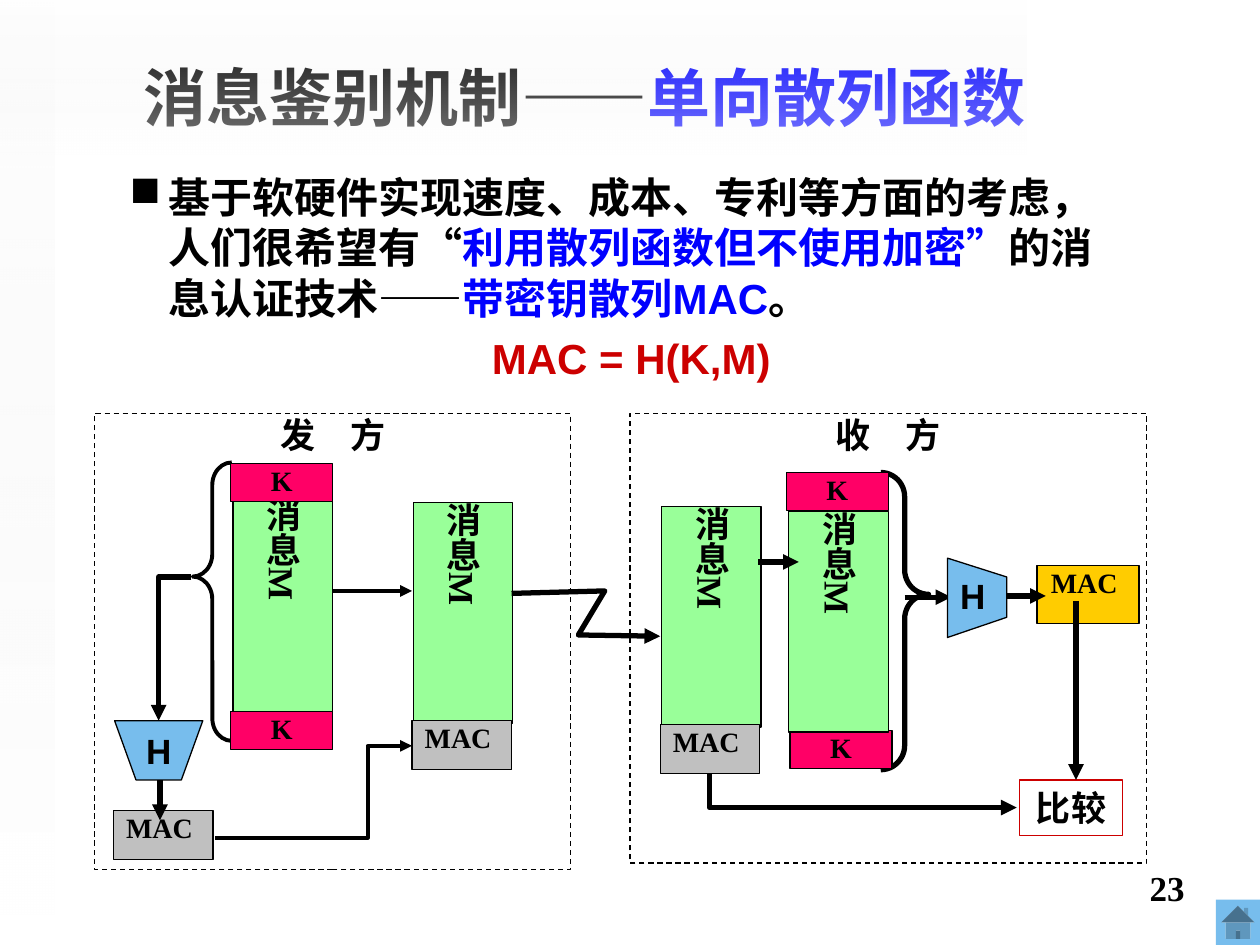
from lxml import etree
from pptx import Presentation
from pptx import util as u
from pptx.dml import color
from pptx.enum import dml, shapes, text
from pptx.oxml import ns, parse_xml


class Theme:
    black = color.RGBColor.from_string("000000")
    white = color.RGBColor.from_string("FFFFFF")
    blue = color.RGBColor.from_string("0000FF")
    red = color.RGBColor.from_string("CC0000")
    green = color.RGBColor.from_string("99FF99")
    pink = color.RGBColor.from_string("FF0066")
    grey = color.RGBColor.from_string("C0C0C0")
    yellow = color.RGBColor.from_string("FFCC00")
    sky = color.RGBColor.from_string("77BDED")
    sans, serif = "Arial", "Times New Roman"
    title, body, label, small = u.Pt(36), u.Pt(24), u.Pt(20), u.Pt(16)
    thin, medium, thick = u.Pt(0.75), u.Pt(2.25), u.Pt(3)


def style_shape(shape, fill=None, line=Theme.black, width=Theme.thin, label="",
                size=Theme.label, font=Theme.serif):
    """Set fill, outline and a bold, centred label; return the text frame."""
    shape.shadow.inherit = False
    if fill is None:
        shape.fill.background()
    else:
        shape.fill.solid()
        shape.fill.fore_color.rgb = fill
    if line is None:
        shape.line.fill.background()
    else:
        shape.line.color.rgb = line
        shape.line.width = width
    frame = shape.text_frame
    if label:
        frame.text = label
        frame.vertical_anchor = text.MSO_ANCHOR.TOP
        paragraph = frame.paragraphs[0]
        paragraph.alignment = text.PP_ALIGN.CENTER
        run_font = paragraph.runs[0].font
        run_font.name, run_font.size, run_font.bold = font, size, True
        run_font.color.rgb = Theme.black
    return frame


def style_arrow(arrow, width, end="tailEnd"):
    """Black line with a triangular head and no shadow."""
    arrow.line.color.rgb = Theme.black
    arrow.line.width = width
    head = etree.SubElement(arrow.line._get_or_add_ln(), ns.qn("a:" + end))
    head.set("type", "triangle")
    properties = arrow._element.spPr
    if properties.find(ns.qn("a:effectLst")) is None:
        etree.SubElement(properties, ns.qn("a:effectLst"))


presentation = Presentation()
presentation.slide_width, presentation.slide_height = u.Inches(10), u.Inches(7.5)
slide = presentation.slides.add_slide(presentation.slide_layouts[5])
canvas = slide.shapes
preset = shapes.MSO_SHAPE

# Background bands and home button
for left, top, width, height, rotation, angle, alpha in [
        (3.46, -3.46, 1.23, 8.15, 90, 0, 49), (0, 0, 0.43, 7.26, 180, 270, 65)]:
    band = canvas.add_shape(preset.RECTANGLE, *map(u.Inches, (left, top, width, height)))
    band.rotation = rotation
    style_shape(band, Theme.white, None)
    solid = band._element.spPr.find(ns.qn("a:solidFill"))
    solid.getparent().replace(solid, parse_xml(
        f'<a:gradFill {ns.nsdecls("a")} rotWithShape="1"><a:gsLst>'
        '<a:gs pos="0"><a:srgbClr val="EAEAEA"><a:alpha val="0"/></a:srgbClr></a:gs>'
        f'<a:gs pos="100000"><a:srgbClr val="FFFFFF"><a:alpha val="{alpha * 1000}"/>'
        f'</a:srgbClr></a:gs></a:gsLst><a:lin ang="{angle * 60000}" scaled="1"/></a:gradFill>'))
home = canvas.add_shape(preset.ACTION_BUTTON_HOME, *map(u.Inches, (9.65, 7.14, 0.35, 0.36)))
style_shape(home, Theme.sky, None)

# Title
title = canvas.title
title.left, title.top, title.width, title.height = map(u.Inches, (0.27, 0.28, 8.74, 0.97))
title.text_frame.auto_size = text.MSO_AUTO_SIZE.NONE
title.text_frame.vertical_anchor = text.MSO_ANCHOR.MIDDLE
title_paragraph = title.text_frame.paragraphs[0]
title_paragraph.alignment = text.PP_ALIGN.CENTER

# Body text
body = canvas.add_textbox(*map(u.Inches, (0.43, 1.31, 8.66, 5.35))).text_frame
body.word_wrap = True
reason, formula = body.paragraphs[0], body.add_paragraph()
formula.alignment = text.PP_ALIGN.CENTER
formula.space_before = u.Pt(6)
for paragraph, bullet in ((reason, "■"), (formula, None)):
    properties = paragraph._p.get_or_add_pPr()
    properties.set("marL", str(u.Inches(0.81)))
    properties.set("indent", str(u.Inches(-0.31)))
    if bullet:
        etree.SubElement(properties, ns.qn("a:buChar")).set("char", bullet)
    else:
        etree.SubElement(properties, ns.qn("a:buNone"))

for paragraph, size, wording, ink in [
        (title_paragraph, Theme.title, "消息鉴别机制——", Theme.black),
        (title_paragraph, Theme.title, "单向散列函数", Theme.blue),
        (reason, Theme.body, "基于软硬件实现速度、成本、专利等方面的考虑，人们很希望有“", Theme.black),
        (reason, Theme.body, "利用散列函数但不使用加密”", Theme.blue),
        (reason, Theme.body, "的消息认证技术——", Theme.black),
        (reason, Theme.body, "带密钥散列MAC", Theme.blue),
        (reason, Theme.body, "。", Theme.black),
        (formula, Theme.body, "MAC = H(K,M)", Theme.red)]:
    run = paragraph.add_run()
    run.text = wording
    run.font.name, run.font.size, run.font.bold = Theme.sans, size, True
    run.font.color.rgb = ink

# Sender and receiver frames
for label, left, width, height in (("发　方", 0.75, 3.78, 3.62), ("收　方", 5, 4.1, 3.57)):
    party = canvas.add_shape(preset.RECTANGLE, *map(u.Inches, (left, 3.28, width, height)))
    frame = style_shape(party, Theme.white, label=label)
    frame.margin_top = frame.margin_bottom = 0
    party.line.dash_style = dml.MSO_LINE.DASH

# Braces around key + message + key
for kind, place, bend, fill, width in [
        (preset.LEFT_BRACE, (1.53, 3.67, 0.31, 2.21), 0.58, None, Theme.medium),
        (preset.RIGHT_BRACE, (6.99, 3.75, 0.38, 2.36), 0.51, Theme.white, Theme.thick)]:
    brace = canvas.add_shape(kind, *map(u.Inches, place))
    brace.adjustments[0], brace.adjustments[1] = bend, 0.41
    style_shape(brace, fill, width=width)

# Message, key and MAC boxes: label -> width, height, fill, type size
kinds = {"消息M": (0.79, 1.75, Theme.green, Theme.label),
         "MAC": (0.79, 0.39, Theme.grey, Theme.small),
         "K": (0.81, 0.3, Theme.pink, Theme.small)}
for label, left, top in [
        ("消息M", 1.85, 3.95), ("MAC", 0.9, 6.43), ("消息M", 3.28, 3.99), ("MAC", 3.27, 5.72),
        ("消息M", 5.25, 4.02), ("MAC", 5.24, 5.75), ("K", 1.83, 3.68), ("K", 1.83, 5.65),
        ("K", 6.24, 3.75), ("K", 6.27, 5.8), ("消息M", 6.26, 4.06), ("MAC", 8.23, 4.49)]:
    width, height, fill, size = kinds[label]
    if left == 8.23:  # MAC computed by the receiver
        width, height, fill = 0.81, 0.46, Theme.yellow
    box = canvas.add_shape(preset.RECTANGLE, *map(u.Inches, (left, top, width, height)))
    frame = style_shape(box, fill, label=label, size=size)
    frame.margin_left = frame.margin_top = frame.margin_right = frame.margin_bottom = 0
    if label == "消息M":
        frame.vertical_anchor = text.MSO_ANCHOR.MIDDLE
        frame._txBody.bodyPr.set("vert", "eaVert")
    elif label == "MAC":
        frame.margin_right = u.Inches(0.06)

# Comparison box
compare = canvas.add_shape(preset.RECTANGLE, *map(u.Inches, (8.09, 6.19, 0.82, 0.44)))
style_shape(compare, line=Theme.red, label="比较", font=Theme.sans).word_wrap = False

# Straight arrows
for x1, y1, x2, y2, width in [
        (1.27, 6.03, 1.27, 6.51, Theme.thick), (7.18, 4.74, 7.55, 4.74, Theme.thick),
        (7.99, 4.73, 8.3, 4.73, Theme.thick), (2.64, 4.69, 3.27, 4.69, Theme.medium),
        (6.02, 4.46, 6.34, 4.46, Theme.thick), (8.54, 4.77, 8.54, 6.19, Theme.thick)]:
    arrow = canvas.add_connector(shapes.MSO_CONNECTOR.STRAIGHT, *map(u.Inches, (x1, y1, x2, y2)))
    style_arrow(arrow, width)

# Bent arrows; the last runs back from the comparison box, so its head is at the start
for ends, width, bend, end in [
        ((1.71, 6.65, 3.27, 5.92), Theme.medium, 77500, "tailEnd"),
        ((1.52, 4.58, 1.26, 5.72), Theme.thick, None, "tailEnd"),
        ((8.07, 6.41, 5.63, 6.14), Theme.thick, None, "headEnd")]:
    arrow = canvas.add_connector(shapes.MSO_CONNECTOR.ELBOW, *map(u.Inches, ends))
    style_arrow(arrow, width, end)
    geometry = arrow._element.spPr.find(ns.qn("a:prstGeom"))
    if bend is None:
        geometry.set("prst", "bentConnector2")
    else:
        guide = etree.SubElement(geometry.find(ns.qn("a:avLst")), ns.qn("a:gd"))
        guide.set("name", "adj1")
        guide.set("fmla", f"val {bend}")

# Hash functions and the transmission zigzag
for points, label in [
        ([(0.91, 5.72), (1.61, 5.72), (1.44, 6.19), (1.08, 6.19)], "H"),
        ([(7.52, 5.06), (7.52, 4.43), (7.99, 4.58), (7.99, 4.9)], ""),
        ([(4.06, 4.71), (4.8, 4.69), (4.59, 5.04), (5.24, 5.05)], None)]:
    points = [(u.Inches(x), u.Inches(y)) for x, y in points]
    builder = canvas.build_freeform(*points[0], scale=1.0)
    builder.add_line_segments(points[1:], close=label is not None)
    outline = builder.convert_to_shape()
    if label is None:
        style_shape(outline)
        style_arrow(outline, Theme.thick)
    else:
        frame = style_shape(outline, Theme.sky, label=label, font=Theme.sans)
        frame.vertical_anchor = text.MSO_ANCHOR.MIDDLE
        frame.word_wrap = False

# Receiver hash label and slide number
hash_label = canvas.add_textbox(*map(u.Inches, (7.52, 4.51, 0.4, 0.44)))
style_shape(hash_label, line=None, label="H", font=Theme.sans).word_wrap = False
number = canvas.add_textbox(*map(u.Inches, (7.17, 6.83, 2.33, 0.52)))
frame = style_shape(number, line=None, label="23")
frame.word_wrap = True
frame.paragraphs[0].alignment = text.PP_ALIGN.RIGHT

presentation.save("out.pptx")
